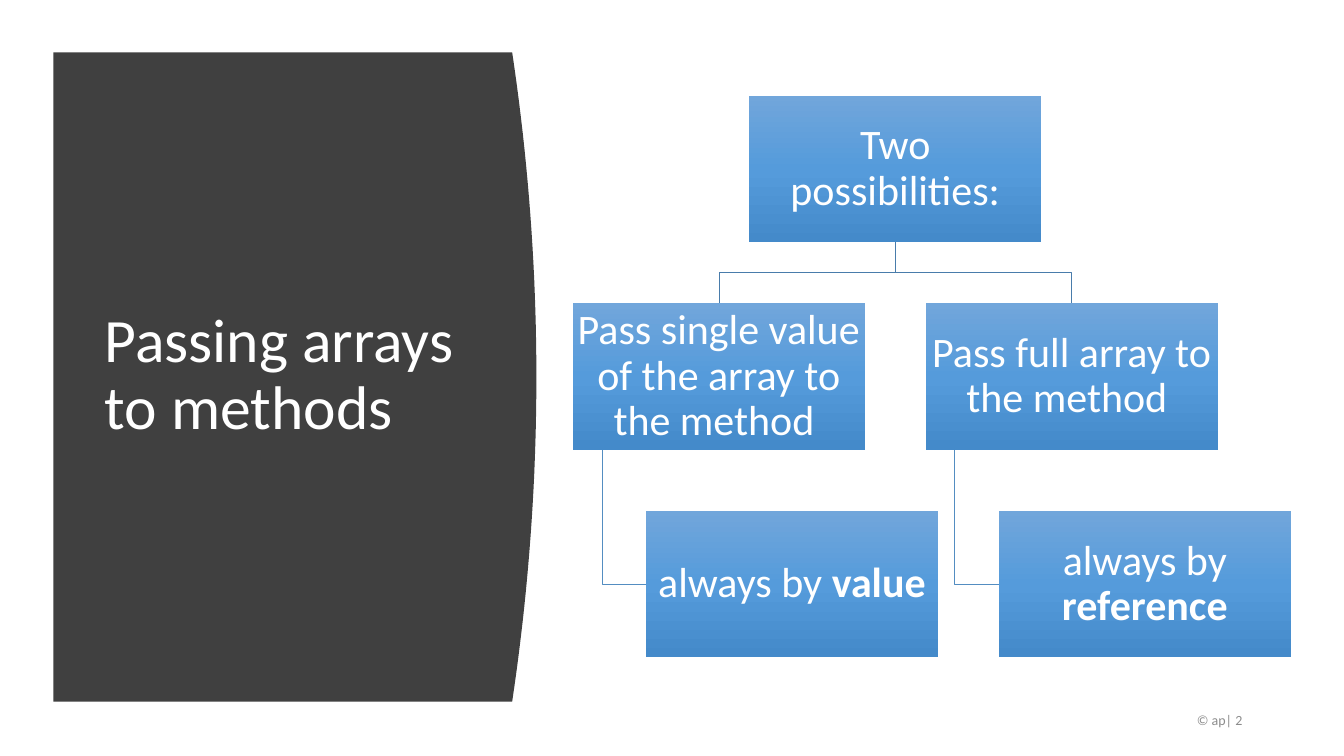
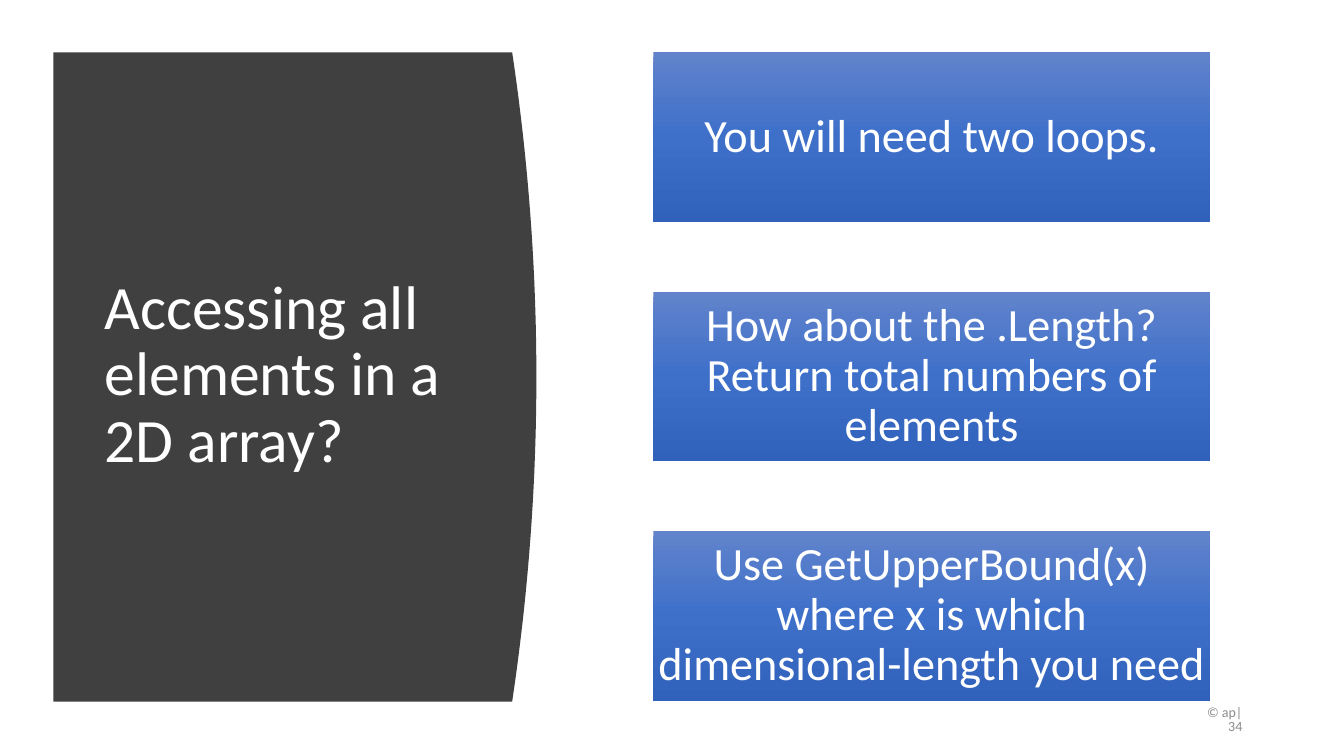
"""Build two slides on arrays: passing them to methods and looping over 2D ones."""
from copy import deepcopy
from dataclasses import dataclass

from pptx import Presentation
from pptx.dml.color import RGBColor
from pptx.enum.shapes import MSO_SHAPE as Shape
from pptx.enum.text import MSO_ANCHOR as Anchor, PP_ALIGN as Align
from pptx.oxml.ns import qn
from pptx.util import Inches, Pt

METHODS = {
    "title": "Passing arrays to methods",
    "footer": ("© ap| 2", 0.9),
    "root": "Two possibilities:",
    "branches": [
        ("Pass single value of the array to the method ", ("always by ", "value")),
        ("Pass full array to the method ", ("always by ", "reference")),
    ],
}
LOOPS = {
    "title": "Accessing all elements in a 2D array?",
    "footer": ("© ap| 34", 0.8),
    "steps": [
        "You will need two loops.",
        "How about the .Length? Return total numbers of elements",
        "Use GetUpperBound(x) where x is which dimensional-length you need",
    ],
}


@dataclass(frozen=True)
class Theme:
    font: str = "Calibri"
    panel: str = "404040"
    white: str = "FFFFFF"
    footer: str = "8C8C8C"
    branch_line: str = "497CAB"
    leaf_line: str = "538DC1"
    tree_fill: tuple = ("71A6DB", "559BDB", "448ACA")
    step_fill: tuple = ("6183CB", "3E70CA", "3062BB")
    title_size: int = 44
    tree_size: int = 30
    step_size: int = 33
    footer_size: int = 10
    line_width: float = 0.5


THEME = Theme()


def rgb(color):
    return RGBColor.from_string(color)


def write(shape, parts, size, color, align, spacing=0.9, inset=None):
    frame = shape.text_frame
    formats = {"word_wrap": True, "vertical_anchor": Anchor.MIDDLE}
    if inset is not None:
        sides = ("left", "right", "top", "bottom")
        formats.update({f"margin_{side}": Inches(inset) for side in sides})
    for name, value in formats.items():
        setattr(frame, name, value)
    paragraph = frame.paragraphs[0]
    paragraph.alignment, paragraph.line_spacing = align, spacing
    for index, part in enumerate(parts):
        run = paragraph.add_run()
        run.text = part
        font = {"name": THEME.font, "size": Pt(size), "bold": index > 0}
        for name, value in font.items():
            setattr(run.font, name, value)
        run.font.color.rgb = rgb(color)


def add_label(slide, area, text, size, color, align, spacing=0.9):
    label = slide.shapes.add_textbox(*map(Inches, area))
    write(label, [text], size, color, align, spacing)


def add_box(slide, area, parts, size, colors):
    box = slide.shapes.add_shape(Shape.RECTANGLE, *map(Inches, area))
    box.shadow.inherit = False
    box.line.fill.background()
    box.fill.gradient()
    box.fill.gradient_angle = 270
    stop_list = next(box._element.spPr.iter(qn("a:gsLst")))
    stop_list.append(deepcopy(stop_list[0]))
    for index, stop in enumerate(box.fill.gradient_stops):
        stop.position = index / 2
        stop.color.rgb = rgb(colors[index])
    write(box, parts, size, THEME.white, Align.CENTER, inset=0.02)


def add_outline(slide, points, close):
    start, *rest = [(Inches(x), Inches(y)) for x, y in points]
    builder = slide.shapes.build_freeform(*start)
    builder.add_line_segments(rest, close=close)
    outline = builder.convert_to_shape()
    outline.shadow.inherit = False
    return outline


def add_elbow(slide, points, color):
    elbow = add_outline(slide, points, False)
    elbow.fill.background()
    elbow.line.color.rgb = rgb(color)
    elbow.line.width = Pt(THEME.line_width)


def add_panel(slide):
    left, edge, bulge, top, bottom = 0.53, 5.08, 0.24, 0.52, 6.96
    steps = 40
    curve = []
    for step in range(steps + 1):
        t = step / steps
        curve.append((edge + bulge * 4 * t * (1 - t), top + (bottom - top) * t))
    panel = add_outline(slide, [(left, top), *curve, (left, bottom)], True)
    panel.fill.solid()
    panel.fill.fore_color.rgb = rgb(THEME.panel)
    panel.line.fill.background()


def start_slide(deck, content):
    slide = deck.slides.add_slide(deck.slide_layouts[6])
    add_panel(slide)
    add_label(slide, (0.94, 1.11, 3.74, 5.24), content["title"],
              THEME.title_size, THEME.white, Align.LEFT)
    footer, spacing = content["footer"]
    add_label(slide, (11.73, 6.95, 0.69, 0.4), footer,
              THEME.footer_size, THEME.footer, Align.RIGHT, spacing)
    return slide


def build_methods(deck):
    slide = start_slide(deck, METHODS)
    width, height, left, column_step = 2.9, 1.45, 5.68, 3.5
    root_top, branch_top, leaf_top = [0.95 + 2.06 * row for row in range(3)]
    root_left = left + column_step / 2
    root_middle, root_bottom = root_left + width / 2, root_top + height
    bar = (root_bottom + branch_top) / 2
    boxes = [(root_left, root_top, [METHODS["root"]])]
    for column, (branch, leaf) in enumerate(METHODS["branches"]):
        branch_left = left + column * column_step
        leaf_left = branch_left + width / 4
        middle, stem = branch_left + width / 2, branch_left + width / 10
        leaf_middle = leaf_top + height / 2
        add_elbow(slide, [(root_middle, root_bottom), (root_middle, bar),
                          (middle, bar), (middle, branch_top)], THEME.branch_line)
        add_elbow(slide, [(stem, branch_top + height), (stem, leaf_middle),
                          (leaf_left, leaf_middle)], THEME.leaf_line)
        boxes += [(branch_left, branch_top, [branch]), (leaf_left, leaf_top, leaf)]
    for box_left, box_top, parts in boxes:
        add_box(slide, (box_left, box_top, width, height), parts,
                THEME.tree_size, THEME.tree_fill)


def build_loops(deck):
    slide = start_slide(deck, LOOPS)
    for row, step in enumerate(LOOPS["steps"]):
        add_box(slide, (6.48, 0.52 + 2.375 * row, 5.52, 1.68), [step],
                THEME.step_size, THEME.step_fill)


def main():
    deck = Presentation()
    deck.slide_width, deck.slide_height = Inches(13.33), Inches(7.5)
    build_methods(deck)
    build_loops(deck)
    deck.save("out.pptx")


if __name__ == "__main__":
    main()
